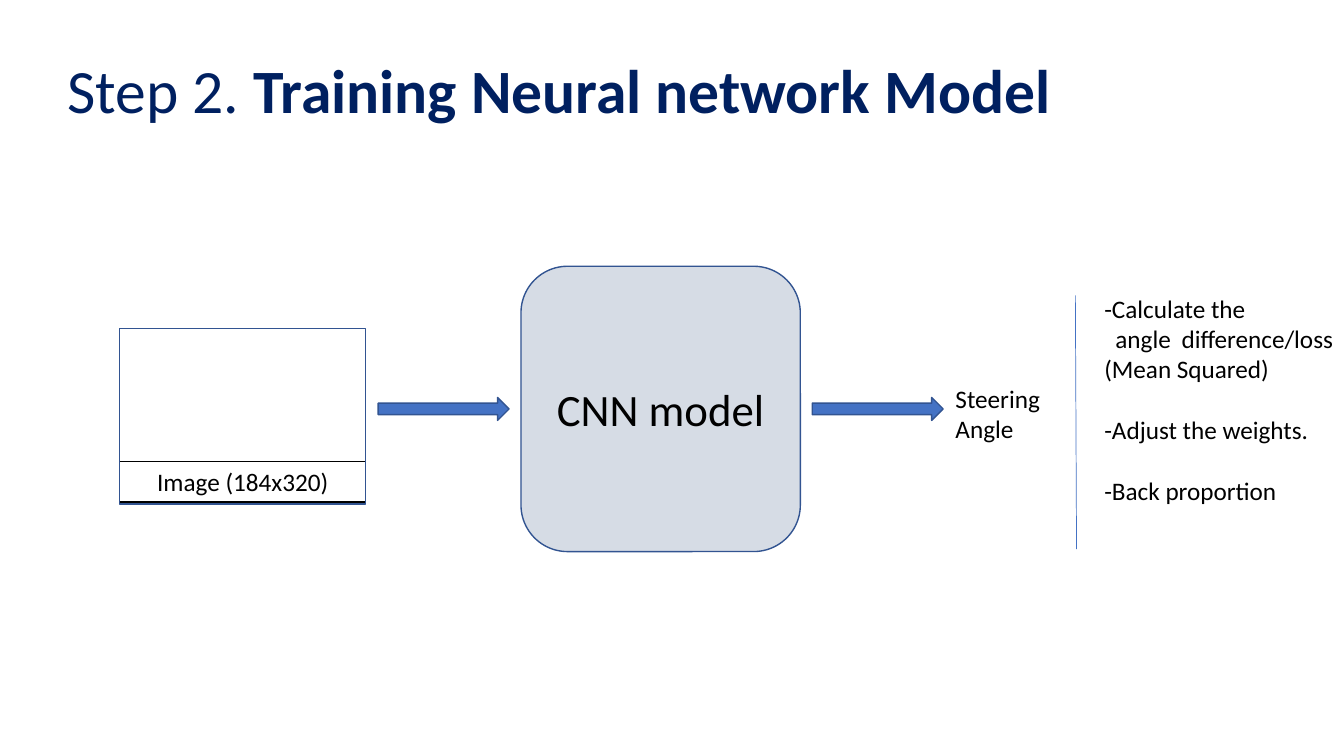
from lxml.etree import SubElement
from pptx import Presentation
from pptx.dml.color import RGBColor
from pptx.enum.shapes import MSO_CONNECTOR, MSO_SHAPE
from pptx.enum.text import MSO_ANCHOR, PP_ALIGN
from pptx.oxml.ns import qn
from pptx.util import Cm, Pt

COLORS = {"navy": "002060", "black": "000000", "white": "FFFFFF",
          "panel": "D6DCE5", "blue": "4472C4", "edge": "325491"}


def rgb(name):
    """Return the named colour."""
    return RGBColor.from_string(COLORS[name])


def write(s, lines, size=18, color="black", align=PP_ALIGN.LEFT,
          anchor=MSO_ANCHOR.TOP):
    """Fill a shape with paragraphs, each a list of (text, bold) runs."""
    tf = s.text_frame
    tf.word_wrap = True
    tf.vertical_anchor = anchor
    for i, runs in enumerate(lines):
        p = tf.add_paragraph() if i else tf.paragraphs[0]
        p.alignment = align
        for text, bold in runs:
            r = p.add_run()
            r.text = text
            for key, value in {"name": "Calibri", "size": Pt(size), "bold": bold}.items():
                setattr(r.font, key, value)
            r.font.color.rgb = rgb(color)
    return tf


def add_text(slide, box, lines, **style):
    """Add a text box that fills the given box."""
    return write(slide.shapes.add_textbox(*map(Cm, box)), lines, **style)


def add_shape(slide, kind, box, fill, line):
    """Add a preset shape without a shadow."""
    s = slide.shapes.add_shape(kind, *map(Cm, box))
    s.shadow.inherit = False
    if fill:
        s.fill.solid()
        s.fill.fore_color.rgb = rgb(fill)
    else:
        s.fill.background()
    s.line.color.rgb = rgb(line)
    s.line.width = Pt(1)
    return s


def add_title(slide, box):
    """Place the slide title."""
    tf = add_text(slide, box, [[("Step 2. ", False), ("Training Neural network Model", True)]],
                  size=44, color="navy", anchor=MSO_ANCHOR.MIDDLE)
    tf.paragraphs[0].line_spacing = 0.9


def add_input(slide, box):
    """Place the image frame with its caption bar near the bottom edge."""
    x, y, w, h = box
    bar = add_shape(slide, MSO_SHAPE.RECTANGLE, (x, y + h - 1.07, w, 1.02), "white", "black")
    write(bar, [[("Image (184x320)", False)]], align=PP_ALIGN.CENTER)
    add_shape(slide, MSO_SHAPE.RECTANGLE, box, None, "edge")


def add_model(slide, box):
    """Place the model block with an arrow on each side."""
    x, y, w, h = box
    block = add_shape(slide, MSO_SHAPE.ROUNDED_RECTANGLE, box, "panel", "edge")
    write(block, [[("CNN model", False)]], size=32, align=PP_ALIGN.CENTER,
          anchor=MSO_ANCHOR.MIDDLE)
    length, thick, gap = 3.3, 0.58, 0.3
    for left in (x - gap - length, x + w + gap):
        add_shape(slide, MSO_SHAPE.RIGHT_ARROW,
                  (left, y + (h - thick) / 2, length, thick), "blue", "edge")


def add_output(slide, box):
    """Place the predicted quantity."""
    add_text(slide, box, [[("Steering", False)], [("Angle", False)]])


def add_training_notes(slide, box):
    """Place the training steps with a divider on their left."""
    x, y, w, h = box
    line = slide.shapes.add_connector(MSO_CONNECTOR.STRAIGHT, Cm(x - 0.48), Cm(y + 0.18),
                                      Cm(x - 0.45), Cm(y + h + 0.18))
    line.line.color.rgb = rgb("blue")
    line.line.width = Pt(0.5)
    SubElement(line._element.spPr, qn("a:effectLst"))
    notes = ["-Calculate the", "angle difference/loss (Mean Squared)",
             "-Adjust the weights.", "-Back proportion"]
    tf = add_text(slide, box, [[(n, False)] for n in notes], align=PP_ALIGN.JUSTIFY)
    tf.paragraphs[1]._p.get_or_add_pPr().set("indent", str(Cm(0.28)))
    for p in tf.paragraphs[2:]:
        p.space_before = Pt(22)


def main():
    """Build the slide and save it."""
    prs = Presentation()
    prs.slide_width, prs.slide_height = Cm(33.87), Cm(19.05)
    slide = prs.slides.add_slide(prs.slide_layouts[6])
    add_title(slide, (1.45, 1.14, 26.7, 2.44))
    add_model(slide, (13.13, 6.71, 7.04, 7.19))
    add_output(slide, (23.83, 9.53, 2.82, 1.8))
    add_training_notes(slide, (27.58, 7.26, 6.27, 6.4))
    add_input(slide, (3.02, 8.28, 6.2, 4.42))
    prs.save("out.pptx")


if __name__ == "__main__":
    main()
